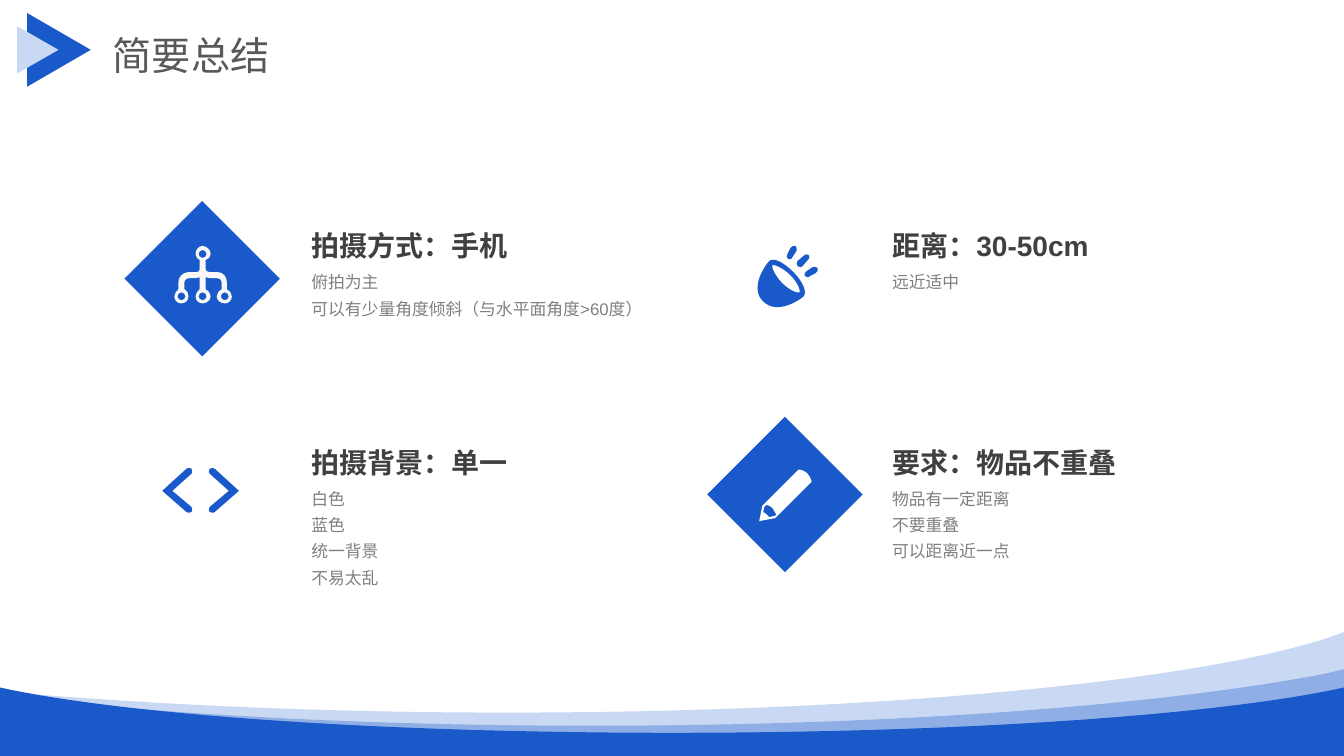
from lxml import etree
from pptx import Presentation
from pptx.dml.color import RGBColor
from pptx.enum.lang import MSO_LANGUAGE_ID
from pptx.enum.shapes import MSO_SHAPE
from pptx.enum.text import MSO_AUTO_SIZE
from pptx.oxml.ns import qn
from pptx.util import Inches, Pt

RECTANGLE, TRIANGLE = MSO_SHAPE.RECTANGLE, MSO_SHAPE.ISOSCELES_TRIANGLE
CHINESE, GROW = MSO_LANGUAGE_ID.SIMPLIFIED_CHINESE, MSO_AUTO_SIZE.SHAPE_TO_FIT_TEXT
BLUE, MID_BLUE, PALE_BLUE = "1959C9", "8FAEE5", "CAD9F3"
WHITE, ICON_WHITE = "FFFFFF", "F8F8F9"

deck = Presentation()
deck.slide_width, deck.slide_height = Inches(13.33), Inches(7.5)
page = deck.slides.add_slide(deck.slide_layouts[6])


def paint(shape, color):
    shape.shadow.inherit = False
    shape.fill.solid()
    shape.fill.fore_color.rgb = RGBColor.from_string(color)
    shape.line.fill.background()


def draw_outline(color, *contours):
    """Fill closed contours; a pair is a line to a point, six numbers are a cubic curve."""
    builder = None
    for start, *steps in contours:
        origin = Inches(start[0]), Inches(start[1])
        if builder is None:
            builder = page.shapes.build_freeform(*origin, scale=1.0)
        else:
            builder.move_to(*origin)
        builder.add_line_segments([(Inches(step[-2]), Inches(step[-1])) for step in steps], close=True)
    outline = builder.convert_to_shape()
    paint(outline, color)
    # Turn the straight segments of curved steps into cubic curves
    segments = list(outline._element.iter(qn("a:lnTo")))
    all_steps = [step for contour in contours for step in contour[1:]]
    for segment, step in zip(segments, all_steps):
        if len(step) == 6:
            segment.tag = qn("a:cubicBezTo")
            for position, index in enumerate((0, 2)):
                control = etree.Element(qn("a:pt"))
                control.set("x", str(Inches(step[index]) - outline.left))
                control.set("y", str(Inches(step[index + 1]) - outline.top))
                segment.insert(position, control)


# Translucent white sheet over the background
sheet = page.shapes.add_shape(RECTANGLE, 0, 0, deck.slide_width, deck.slide_height)
paint(sheet, WHITE)
alpha = etree.SubElement(next(sheet._element.spPr.iter(qn("a:srgbClr"))), qn("a:alpha"))
alpha.set("val", "89000")

# Waves along the bottom, from back to front
waves = [
    (PALE_BLUE, 7.4, [(13.33, 6.27), (13.28, 6.29), (12.04, 6.74, 8.82, 7.07, 5.03, 7.07),
                      (3.21, 7.07, 1.52, 6.99, 0.12, 6.87), (0, 6.85)]),
    (MID_BLUE, 7.5, [(13.33, 6.64), (13.16, 6.68), (11.58, 6.99, 8.91, 7.2, 5.88, 7.2),
                     (3.76, 7.2, 1.81, 7.1, 0.3, 6.93), (0, 6.89)]),
    (BLUE, 7.5, [(13.33, 6.82), (13.24, 6.84), (11.98, 7.1, 9.51, 7.27, 6.67, 7.27),
                 (3.83, 7.27, 1.36, 7.1, 0.09, 6.84), (0, 6.82)]),
]
for color, bottom, crest in waves:
    draw_outline(color, crest + [(0, bottom), (13.33, bottom)])

# Title arrows and the diamonds behind the icons
turned_shapes = [
    (TRIANGLE, 90, 0.22, 0.18, 0.73, 0.63, BLUE),
    (TRIANGLE, 90, 0.14, 0.29, 0.47, 0.41, PALE_BLUE),
    (RECTANGLE, 45, 1.46, 2.22, 1.09, 1.09, BLUE),
    (RECTANGLE, 45, 7.24, 2.22, 1.09, 1.09, WHITE),
    (RECTANGLE, 45, 1.46, 4.37, 1.09, 1.09, WHITE),
    (RECTANGLE, 45, 7.24, 4.36, 1.09, 1.09, BLUE),
]
for preset, angle, left, top, width, height, color in turned_shapes:
    turned = page.shapes.add_shape(preset, Inches(left), Inches(top), Inches(width), Inches(height))
    turned.rotation = angle
    paint(turned, color)

# Organisation icon: one outline with four round holes
holes = []
for x, y in [(2.01, 2.52), (1.8, 2.94), (2.01, 2.94), (2.23, 2.94)]:
    holes.append([(x + 0.04, y), (x + 0.04, y + 0.02, x + 0.02, y + 0.04, x, y + 0.04),
                  (x - 0.02, y + 0.04, x - 0.04, y + 0.02, x - 0.04, y),
                  (x - 0.04, y - 0.02, x - 0.02, y - 0.04, x, y - 0.04),
                  (x + 0.02, y - 0.04, x + 0.04, y - 0.02, x + 0.04, y)])
draw_outline(
    ICON_WHITE,
    [(2.25, 2.87), (2.25, 2.8), (2.25, 2.76, 2.23, 2.7, 2.15, 2.7), (2.09, 2.7),
     (2.05, 2.7, 2.04, 2.68, 2.04, 2.67), (2.04, 2.58), (2.07, 2.57, 2.09, 2.55, 2.09, 2.52),
     (2.09, 2.48, 2.05, 2.44, 2.01, 2.44), (1.97, 2.44, 1.94, 2.48, 1.94, 2.52),
     (1.94, 2.55, 1.96, 2.57, 1.98, 2.58), (1.98, 2.67), (1.98, 2.68, 1.98, 2.7, 1.94, 2.7),
     (1.88, 2.7), (1.8, 2.7, 1.77, 2.76, 1.77, 2.8), (1.77, 2.87),
     (1.75, 2.89, 1.73, 2.91, 1.73, 2.94), (1.73, 2.98, 1.76, 3.01, 1.8, 3.01),
     (1.84, 3.01, 1.87, 2.98, 1.87, 2.94), (1.87, 2.91, 1.86, 2.89, 1.83, 2.87), (1.83, 2.8),
     (1.83, 2.8, 1.83, 2.76, 1.88, 2.76), (1.94, 2.76), (1.96, 2.76, 1.97, 2.75, 1.98, 2.75),
     (1.98, 2.87), (1.96, 2.89, 1.94, 2.91, 1.94, 2.94), (1.94, 2.98, 1.97, 3.01, 2.01, 3.01),
     (2.05, 3.01, 2.09, 2.98, 2.09, 2.94), (2.09, 2.91, 2.07, 2.89, 2.04, 2.87), (2.04, 2.75),
     (2.05, 2.75, 2.07, 2.76, 2.09, 2.76), (2.15, 2.76), (2.19, 2.76, 2.2, 2.79, 2.2, 2.8),
     (2.2, 2.87), (2.17, 2.89, 2.15, 2.91, 2.15, 2.94), (2.15, 2.98, 2.19, 3.01, 2.23, 3.01),
     (2.27, 3.01, 2.3, 2.98, 2.3, 2.94), (2.3, 2.91, 2.28, 2.89, 2.25, 2.87)],
    *holes)

# Lamp icon: body with lens, then three rays
draw_outline(
    BLUE,
    [(7.63, 2.59), (7.59, 2.63, 7.43, 2.86, 7.57, 2.99), (7.71, 3.13, 7.94, 2.97, 7.97, 2.94),
     (8.01, 2.9, 7.96, 2.79, 7.87, 2.7), (7.77, 2.6, 7.67, 2.55, 7.63, 2.59)],
    [(7.93, 2.9), (7.92, 2.91, 7.84, 2.89, 7.76, 2.81), (7.68, 2.73, 7.65, 2.64, 7.66, 2.63),
     (7.67, 2.62, 7.76, 2.65, 7.84, 2.73), (7.92, 2.81, 7.94, 2.89, 7.93, 2.9)],
    [(7.94, 2.65), (7.95, 2.65, 7.95, 2.64, 7.96, 2.64), (8.02, 2.57),
     (8.03, 2.56, 8.03, 2.54, 8.02, 2.53), (8.01, 2.52, 7.99, 2.52, 7.98, 2.53), (7.91, 2.59),
     (7.9, 2.6, 7.9, 2.62, 7.91, 2.64), (7.92, 2.64, 7.93, 2.65, 7.94, 2.65)],
    [(7.82, 2.57), (7.82, 2.57, 7.83, 2.57, 7.84, 2.57), (7.85, 2.57, 7.86, 2.56, 7.86, 2.55),
     (7.9, 2.49), (7.91, 2.47, 7.9, 2.45, 7.89, 2.44), (7.87, 2.44, 7.85, 2.44, 7.84, 2.46),
     (7.81, 2.52), (7.8, 2.54, 7.8, 2.56, 7.82, 2.57)],
    [(8.11, 2.66), (8.1, 2.65, 8.08, 2.64, 8.06, 2.65), (8, 2.69),
     (7.98, 2.7, 7.98, 2.72, 7.98, 2.73), (7.99, 2.74, 8, 2.75, 8.01, 2.75),
     (8.02, 2.75, 8.03, 2.75, 8.03, 2.74), (8.09, 2.71), (8.11, 2.7, 8.11, 2.68, 8.11, 2.66)])

# Angle brackets: offsets from the middle line, mirrored for the left one
bracket = [(0.14, 4.65), (0.13, 4.64, 0.11, 4.64, 0.09, 4.65), (0.08, 4.67, 0.08, 4.69, 0.09, 4.7),
           (0.28, 4.87), (0.09, 5.03), (0.08, 5.05, 0.08, 5.07, 0.09, 5.08),
           (0.11, 5.09, 0.13, 5.09, 0.14, 5.08), (0.38, 4.87), (0.14, 4.65)]
draw_outline(BLUE, *[[tuple(1.99 + side * value if index % 2 == 0 else value
                            for index, value in enumerate(step)) for step in bracket]
                     for side in (-1, 1)])

# Pencil icon
draw_outline(
    WHITE,
    [(8.01, 4.7), (7.96, 4.65, 7.92, 4.66, 7.92, 4.66), (7.75, 4.83), (7.56, 5.02), (7.53, 5.17),
     (7.69, 5.14), (7.88, 4.95), (8.05, 4.78), (8.05, 4.78, 8.05, 4.75, 8.01, 4.7)],
    [(7.68, 5.12), (7.63, 5.13), (7.62, 5.12, 7.61, 5.12, 7.6, 5.1),
     (7.59, 5.09, 7.58, 5.09, 7.57, 5.08), (7.58, 5.03), (7.6, 5.01),
     (7.6, 5.01, 7.63, 5.01, 7.66, 5.04), (7.69, 5.08, 7.7, 5.11, 7.7, 5.11)])

# Title, then a heading and its details for each topic
topics = [
    (2.99, 2.22, 2.21, "拍摄方式：手机", ["俯拍为主", "可以有少量角度倾斜（与水平面角度>60度）"]),
    (8.75, 2.22, 2.99, "距离：30-50cm", ["远近适中"]),
    (2.99, 4.37, 2.99, "拍摄背景：单一", ["白色", "蓝色", "统一背景", "不易太乱"]),
    (8.75, 4.37, 2.46, "要求：物品不重叠", ["物品有一定距离", "不要重叠", "可以距离近一点"]),
]
texts = [(1.02, 0.26, 1.76, 0.57, ["简要总结"], 28, "Noto Sans CJK SC", "595959", False, None)]
for left, top, width, heading, details in topics:
    texts.append((left, top, width, 0.44, [heading], 20, "Arial", "404040", True, None))
    texts.append((left, top + 0.37, 3.56, 0.1 + 0.26 * len(details), details,
                  12, "Arial", "808080", False, 1.3))

for left, top, width, height, lines, size, font_name, color, bold, spacing in texts:
    box = page.shapes.add_textbox(Inches(left), Inches(top), Inches(width), Inches(height))
    box.text_frame.word_wrap = size != 28
    box.text_frame.auto_size = GROW
    box.text_frame.text = "\n".join(lines)
    for para in box.text_frame.paragraphs:
        para.line_spacing = spacing
        for span in para.runs:
            span.font.size, span.font.bold, span.font.name = Pt(size), bold, font_name
            span.font.color.rgb = RGBColor.from_string(color)
            span.font.language_id = CHINESE
            east_asian = etree.SubElement(span.font._element, qn("a:ea"))
            east_asian.set("typeface", "Noto Sans CJK SC")

deck.save("out.pptx")
